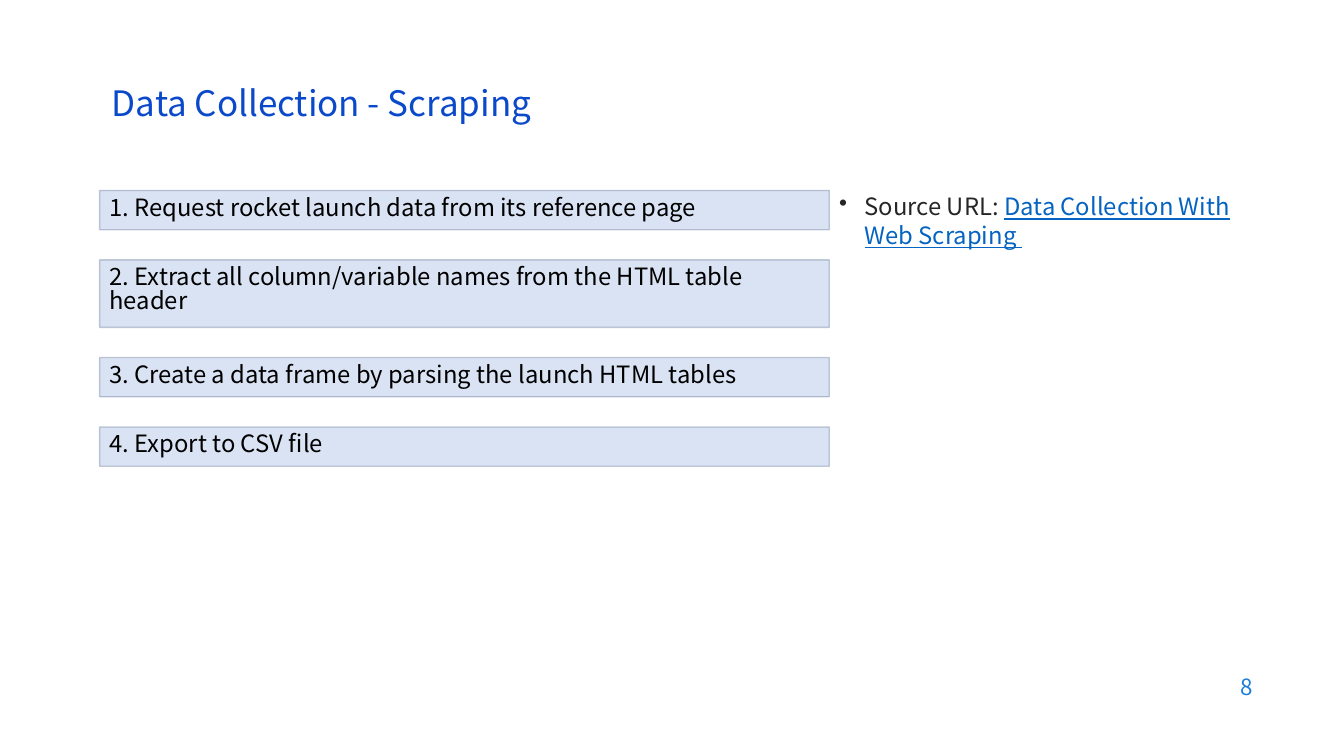
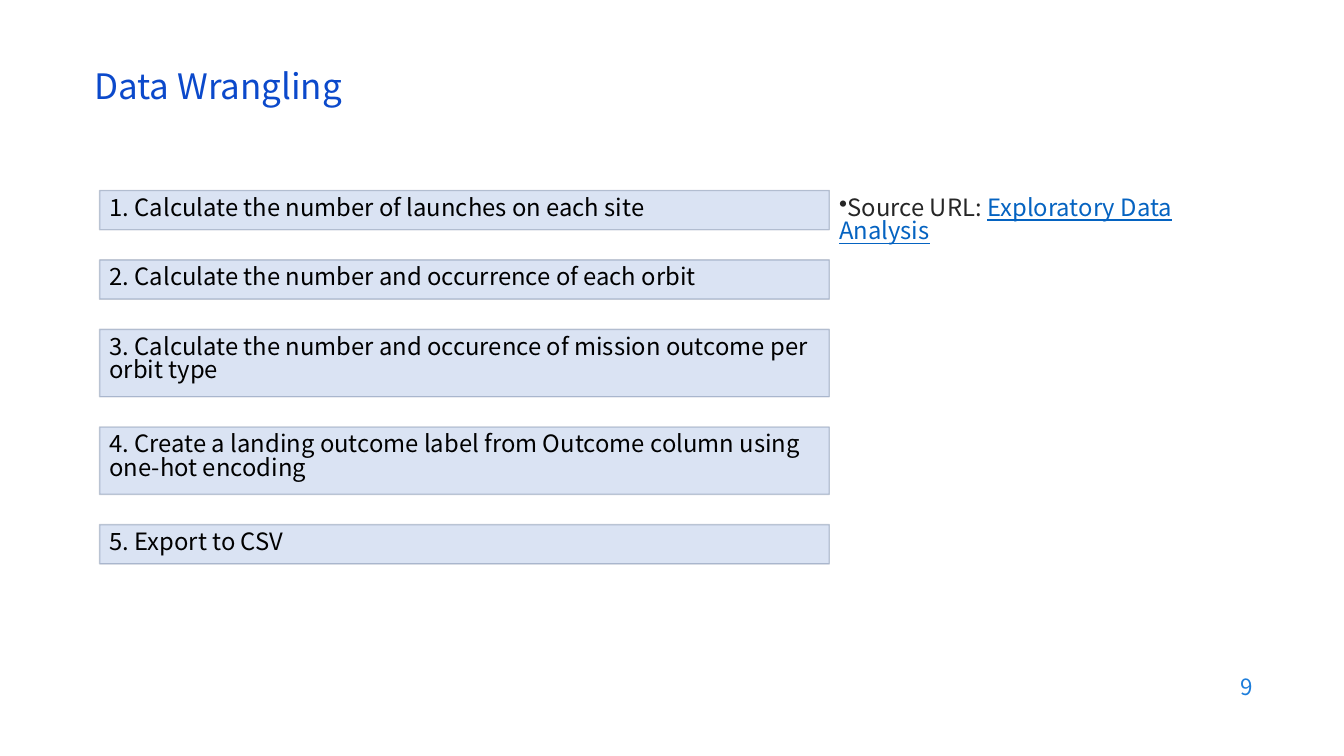
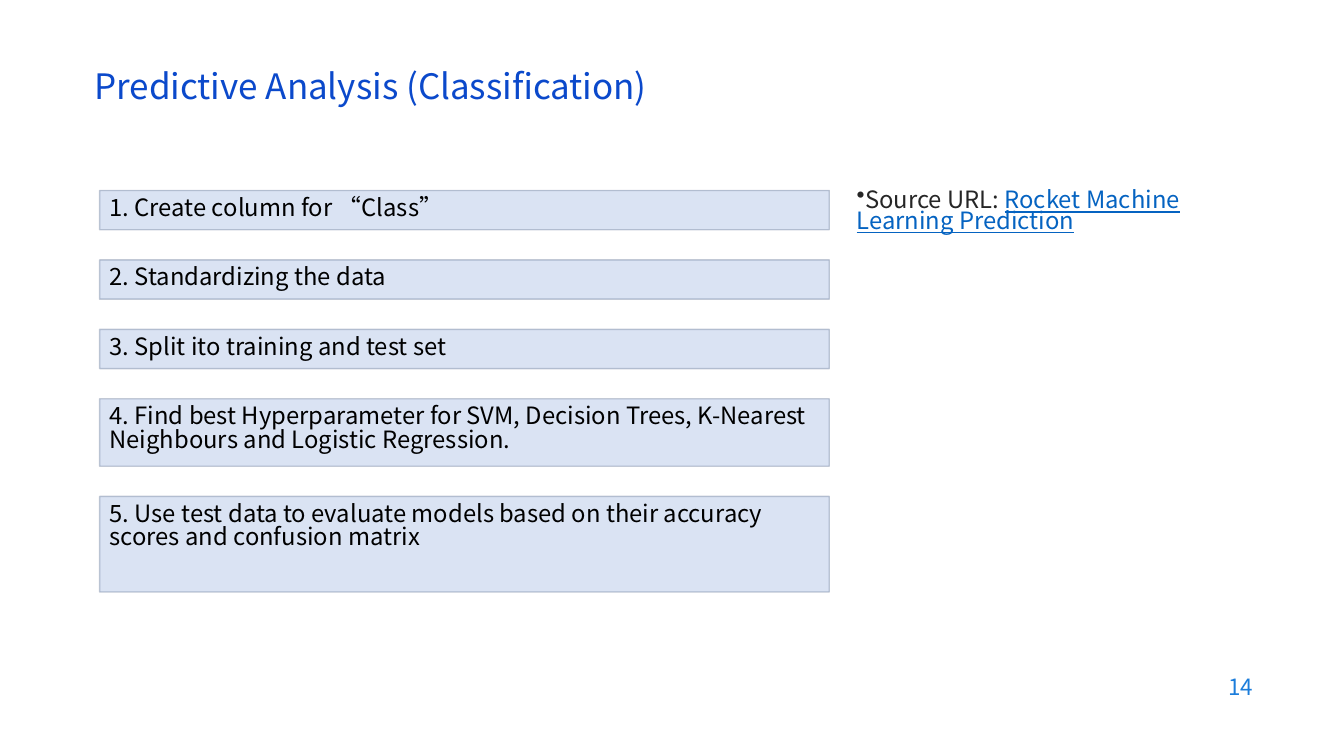
from dataclasses import dataclass

from lxml.etree import SubElement
from pptx import Presentation
from pptx.dml.color import RGBColor
from pptx.enum.shapes import MSO_SHAPE
from pptx.enum.text import MSO_ANCHOR, MSO_AUTO_SIZE, PP_ALIGN
from pptx.oxml.ns import qn
from pptx.util import Cm, Pt


@dataclass(frozen=True)
class Theme:
    font: str = "Noto Sans CJK TC"
    title: str = "0B49CB"
    page: str = "1C7DDB"
    body: str = "262626"
    link: str = "0563C1"
    step: str = "000000"
    step_fill: str = "DAE3F3"
    step_line: str = "203864"
    title_size: int = 25
    text_size: int = 17
    page_size: int = 16
    tight: float = 0.82


THEME = Theme()

# Steps are (text, number of lines the box holds); places are in cm.
SLIDES = [
    {
        "title": "Data Collection - Scraping",
        "title_at": (2.57, 1.93),
        "page": "8",
        "steps": [
            ("1. Request rocket launch data from its reference page", 1),
            ("2. Extract all column/variable names from the HTML table header", 2),
            ("3. Create a data frame by parsing the launch HTML tables", 1),
            ("4. Export to CSV file", 1),
        ],
        "link": "Data Collection With Web Scraping ",
        "link_at": (20.9, 4.8, 10.92, 10.59),
        "link_style": {"indent": 0.64, "spacing": 1.0, "top": 0.03},
    },
    {
        "title": "Data Wrangling",
        "title_at": (2.13, 1.5),
        "page": "9",
        "steps": [
            ("1. Calculate the number of launches on each site", 1),
            ("2. Calculate the number and occurrence of each orbit", 1),
            ("3. Calculate the number and occurence of mission outcome per orbit type", 2),
            ("4. Create a landing outcome label from Outcome column using one-hot encoding", 2),
            ("5. Export to CSV", 1),
        ],
        "link": "Exploratory Data Analysis",
        "link_at": (20.9, 4.8, 10.44, 12.37),
        "link_style": {"indent": 0, "spacing": THEME.tight, "top": 0.18},
    },
    {
        "title": "Predictive Analysis (Classification)",
        "title_at": (2.13, 1.5),
        "page": "14",
        "steps": [
            ("1. Create column for “Class”", 1),
            ("2. Standardizing the data", 1),
            ("3. Split ito training and test set", 1),
            ("4. Find best Hyperparameter for SVM, Decision Trees, K-Nearest "
             "Neighbours and Logistic Regression.", 2),
            ("5. Use test data to evaluate models based on their accuracy "
             "scores and confusion matrix", 3),
        ],
        "link": "Rocket Machine Learning Prediction",
        "link_at": (21.34, 4.65, 10.49, 12.09),
        "link_style": {"indent": 0, "spacing": 0.73, "top": 0.18},
    },
]

STEP_LEFT, STEP_TOP, STEP_WIDTH = 2.51, 4.8, 18.39
STEP_LINE, STEP_PADDING, STEP_GAP = 0.71, 0.28, 0.76


def style_run(r, size, color, underline=None):
    r.font.name = THEME.font
    r.font.size = Pt(size)
    r.font.color.rgb = RGBColor.from_string(color)
    r.font.underline = underline


def prepare_frame(tf, anchor, top=0.13):
    tf.word_wrap = True
    tf.auto_size = MSO_AUTO_SIZE.NONE
    tf.vertical_anchor = anchor
    tf.margin_left = tf.margin_right = Cm(0.25)
    tf.margin_top, tf.margin_bottom = Cm(top), Cm(0.13)


def write_line(tf, text, size, color, align=PP_ALIGN.LEFT, spacing=1.0):
    tf.text = text
    p = tf.paragraphs[0]
    p.alignment = align
    p.line_spacing = spacing
    style_run(p.runs[0], size, color)


def set_title(s, text, left, top):
    title = s.shapes.title
    title.left, title.top = Cm(left), Cm(top)
    title.width, title.height = Cm(29.21), Cm(1.52)
    prepare_frame(title.text_frame, MSO_ANCHOR.MIDDLE)
    write_line(title.text_frame, text, THEME.title_size, THEME.title, spacing=0.8)


def add_page_number(s, number):
    box = s.shapes.add_textbox(Cm(24.21), Cm(16.74), Cm(7.62), Cm(1.12))
    prepare_frame(box.text_frame, MSO_ANCHOR.MIDDLE)
    write_line(box.text_frame, number, THEME.page_size, THEME.page, PP_ALIGN.RIGHT)


def add_link(s, text, place, indent, spacing, top):
    """Bulleted source label followed by underlined link wording."""
    box = s.shapes.add_textbox(*map(Cm, place))
    tf = box.text_frame
    prepare_frame(tf, MSO_ANCHOR.TOP, top)
    p = tf.paragraphs[0]
    p.line_spacing = spacing
    pPr = p._p.get_or_add_pPr()
    pPr.set("marL", str(Cm(indent)))
    pPr.set("indent", str(-Cm(indent)))
    SubElement(pPr, qn("a:buChar")).set("char", "•")
    for words, color, underline in (
        ("Source URL: ", THEME.body, None),
        (text, THEME.link, True),
    ):
        r = p.add_run()
        r.text = words
        style_run(r, THEME.text_size, color, underline)


def add_steps(s, steps):
    top = STEP_TOP
    for text, lines in steps:
        height = lines * STEP_LINE + STEP_PADDING
        box = s.shapes.add_shape(MSO_SHAPE.RECTANGLE, Cm(STEP_LEFT), Cm(top),
                                 Cm(STEP_WIDTH), Cm(height))
        box.shadow.inherit = False
        box.fill.solid()
        box.fill.fore_color.rgb = RGBColor.from_string(THEME.step_fill)
        box.line.width = Pt(1)
        box.line.color.rgb = RGBColor.from_string(THEME.step_line)
        line_color = box.line._ln.find(".//" + qn("a:srgbClr"))
        SubElement(line_color, qn("a:alpha")).set("val", "25000")
        prepare_frame(box.text_frame, MSO_ANCHOR.TOP, top=0.18)
        write_line(box.text_frame, text, THEME.text_size, THEME.step,
                   spacing=THEME.tight)
        top += height + STEP_GAP


def main():
    prs = Presentation()
    prs.slide_width, prs.slide_height = Cm(33.87), Cm(19.05)
    title_only = prs.slide_layouts[5]
    for content in SLIDES:
        s = prs.slides.add_slide(title_only)
        set_title(s, content["title"], *content["title_at"])
        add_page_number(s, content["page"])
        add_link(s, content["link"], content["link_at"], **content["link_style"])
        add_steps(s, content["steps"])
    prs.save("out.pptx")


if __name__ == "__main__":
    main()
